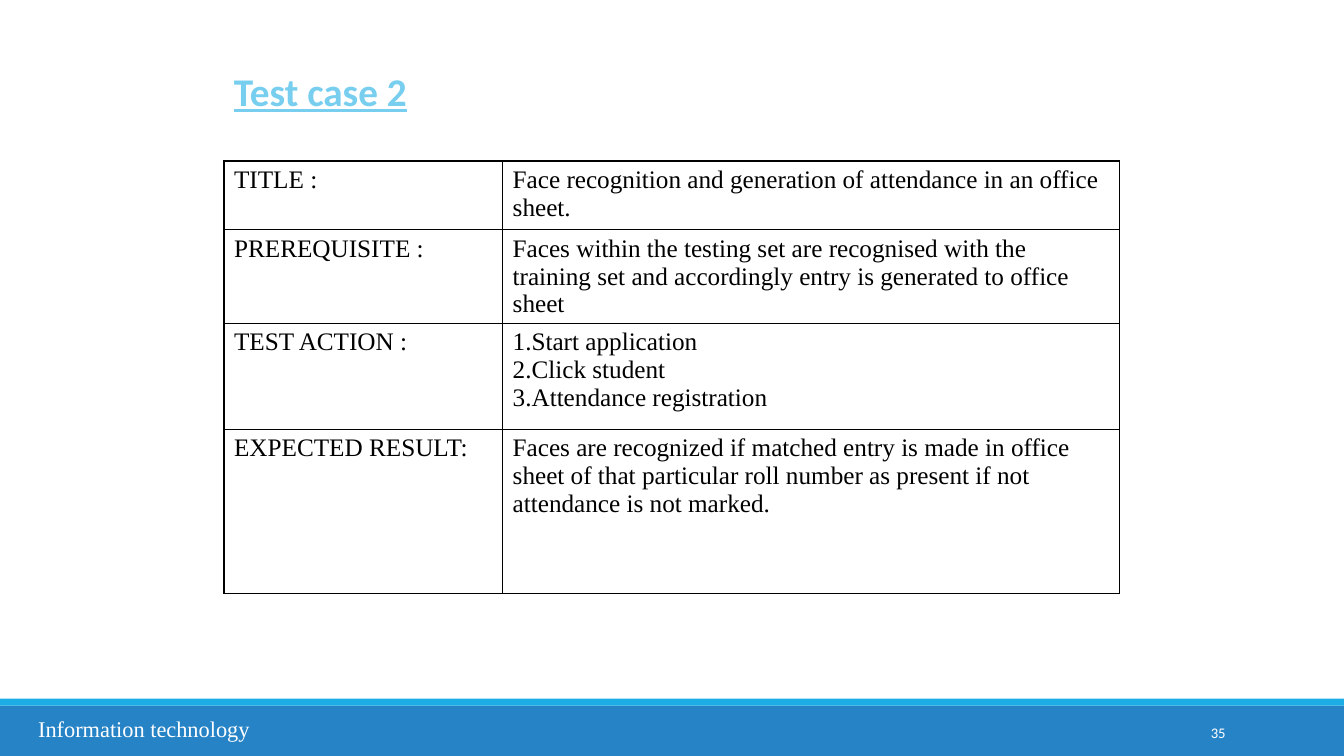
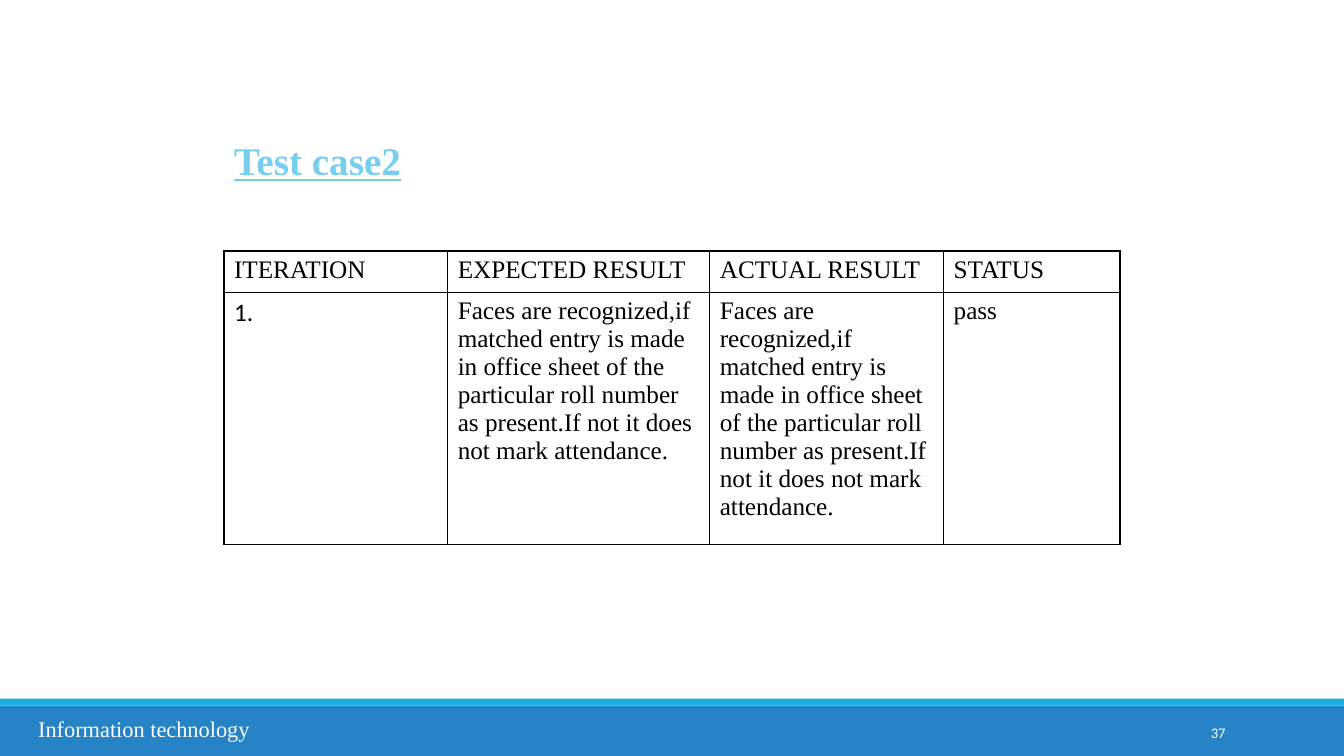
from dataclasses import dataclass, field

from lxml.etree import SubElement
from pptx import Presentation
from pptx.dml.color import RGBColor
from pptx.enum.shapes import MSO_SHAPE
from pptx.enum.text import MSO_ANCHOR, MSO_AUTO_SIZE, PP_ALIGN
from pptx.oxml.ns import qn
from pptx.slide import Slide
from pptx.table import _Cell as Cell
from pptx.text.text import TextFrame
from pptx.util import Emu, Inches, Pt

SLIDE_WIDTH, SLIDE_HEIGHT = Inches(13.33), Inches(7.5)

BAND_BLUE = RGBColor(0x26, 0x83, 0xC6)
STRIPE_BLUE = RGBColor(0x1C, 0xAD, 0xE4)
TITLE_BLUE = RGBColor(0x77, 0xCE, 0xEF)
WHITE = RGBColor(0xFF, 0xFF, 0xFF)
BLACK = RGBColor(0, 0, 0)

SANS, SERIF = "Calibri", "Times New Roman"


@dataclass(frozen=True)
class Box:
    """Place and size in percent of the slide's width and height."""
    left: float
    top: float
    width: float
    height: float

    def emu(self) -> tuple[Emu, Emu, Emu, Emu]:
        return across(self.left), down(self.top), across(self.width), down(self.height)


@dataclass(frozen=True)
class TextStyle:
    font: str
    size: float
    color: RGBColor
    heading: bool = False


@dataclass(frozen=True)
class Band:
    box: Box
    color: RGBColor


@dataclass(frozen=True)
class TestCase:
    title: str
    title_font: str
    title_top: float
    title_width: float
    number: str
    table_top: float
    columns: list[float]
    rows: list[float]
    cells: list[list[str]]
    cell_fonts: dict[tuple[int, int], str] = field(default_factory=dict)


MARGIN = 16.67
BANDS = [
    Band(Box(0, 93.33, 100, 6.67), BAND_BLUE),
    Band(Box(0, 92.4, 100, 0.93), STRIPE_BLUE),
]
NUMBER_BOX = Box(81.2, 94.2, 10.73, 5.33)
FOOTER_BOX = Box(2.1, 93.95, 22.5, 4.93)
FOOTER = "Information technology"

OUTCOME = (
    "Faces are recognized,if matched entry is made in office sheet of the "
    "particular roll number as present.If not it does not mark attendance."
)

TEST_CASES = [
    TestCase(
        title="Test case 2", title_font=SANS, title_top=8.27, title_width=22.95,
        number="35", table_top=21.3,
        columns=[20.73, 45.9], rows=[9.07, 12.4, 14, 21.73],
        cells=[
            ["TITLE :",
             "Face recognition and generation of attendance in an office sheet."],
            ["PREREQUISITE :",
             "Faces within the testing set are recognised with the training set "
             "and accordingly entry is generated to office sheet"],
            ["TEST ACTION :",
             "1.Start application\n2.Click student\n3.Attendance registration"],
            ["EXPECTED RESULT:",
             "Faces are recognized if matched entry is made in office sheet of that "
             "particular roll number as present if not attendance is not marked."],
        ],
    ),
    TestCase(
        title="Test case2", title_font=SERIF, title_top=17.4, title_width=16.58,
        number="37", table_top=33.2,
        columns=[16.64, 19.5, 17.4, 13.13], rows=[5.47, 29.33],
        cells=[
            ["ITERATION", "EXPECTED RESULT", "ACTUAL RESULT", "STATUS"],
            ["1.", OUTCOME, OUTCOME, "pass"],
        ],
        cell_fonts={(1, 0): SANS},
    ),
]


def across(percent: float) -> Emu:
    return Emu(round(SLIDE_WIDTH * percent / 100))


def down(percent: float) -> Emu:
    return Emu(round(SLIDE_HEIGHT * percent / 100))


def write(frame: TextFrame, text: str, style: TextStyle,
          align: PP_ALIGN = PP_ALIGN.LEFT) -> None:
    frame.text = text
    for paragraph in frame.paragraphs:
        paragraph.alignment = align
        for run in paragraph.runs:
            run.font.name = style.font
            run.font.size = Pt(style.size)
            run.font.color.rgb = style.color
            run.font.bold = run.font.underline = style.heading


def add_label(slide: Slide, box: Box, text: str, style: TextStyle) -> None:
    frame = slide.shapes.add_textbox(*box.emu()).text_frame
    frame.word_wrap = True
    frame.auto_size = MSO_AUTO_SIZE.SHAPE_TO_FIT_TEXT
    write(frame, text, style)


def add_bands(slide: Slide) -> None:
    for band in BANDS:
        strip = slide.shapes.add_shape(MSO_SHAPE.RECTANGLE, *band.box.emu())
        strip.shadow.inherit = False
        strip.fill.solid()
        strip.fill.fore_color.rgb = band.color
        strip.line.fill.background()


def add_number(slide: Slide, number: str) -> None:
    frame = slide.shapes.add_textbox(*NUMBER_BOX.emu()).text_frame
    frame.word_wrap = True
    frame.auto_size = MSO_AUTO_SIZE.NONE
    frame.vertical_anchor = MSO_ANCHOR.MIDDLE
    write(frame, number, TextStyle(SANS, 10.5, WHITE), PP_ALIGN.RIGHT)


def set_borders(cell: Cell) -> None:
    properties = cell._tc.get_or_add_tcPr()
    for position, side in enumerate(("a:lnL", "a:lnR", "a:lnT", "a:lnB")):
        border = SubElement(properties, qn(side), w=str(Pt(1)))
        fill = SubElement(border, qn("a:solidFill"))
        SubElement(fill, qn("a:srgbClr"), val=str(BLACK))
        # Borders come before the cell's fill
        properties.insert(position, border)


def add_case_table(slide: Slide, case: TestCase) -> None:
    box = Box(MARGIN, case.table_top, sum(case.columns), sum(case.rows))
    table = slide.shapes.add_table(
        len(case.rows), len(case.columns), *box.emu()).table
    table.first_row = table.horz_banding = False
    for column, width in zip(table.columns, case.columns):
        column.width = across(width)
    for row, height in zip(table.rows, case.rows):
        row.height = down(height)
    for r, texts in enumerate(case.cells):
        for c, text in enumerate(texts):
            cell = table.cell(r, c)
            font = case.cell_fonts.get((r, c), SERIF)
            write(cell.text_frame, text, TextStyle(font, 18, BLACK))
            cell.fill.background()
            set_borders(cell)


def add_case_slide(deck: Presentation, case: TestCase) -> None:
    slide = deck.slides.add_slide(deck.slide_layouts[6])
    # Shared frame
    add_bands(slide)
    add_number(slide, case.number)
    # Test case
    add_case_table(slide, case)
    title_box = Box(MARGIN, case.title_top, case.title_width, 7.6)
    add_label(slide, title_box, case.title,
              TextStyle(case.title_font, 28, TITLE_BLUE, heading=True))
    # Footer
    add_label(slide, FOOTER_BOX, FOOTER, TextStyle(SERIF, 16, WHITE))


def main() -> None:
    deck = Presentation()
    deck.slide_width, deck.slide_height = SLIDE_WIDTH, SLIDE_HEIGHT
    for case in TEST_CASES:
        add_case_slide(deck, case)
    deck.save("out.pptx")


if __name__ == "__main__":
    main()
